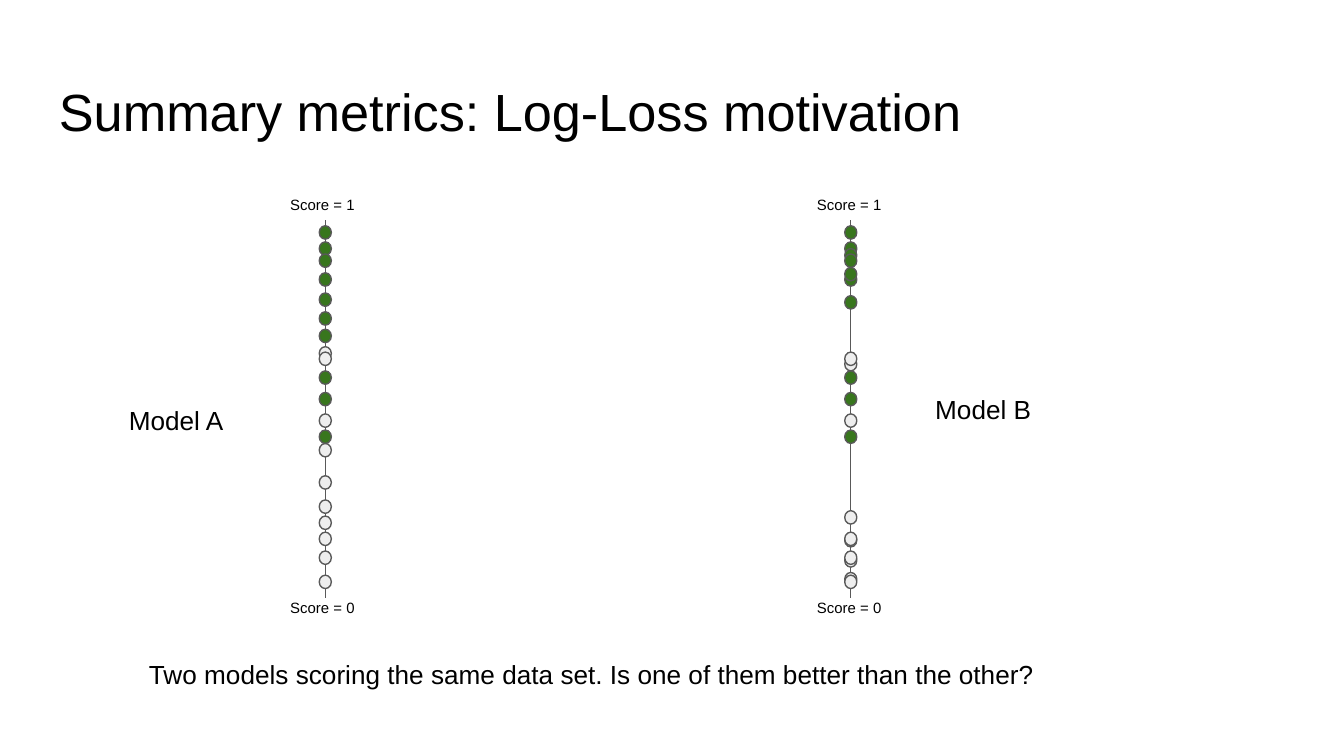
from dataclasses import dataclass

import pptx
import pptx.dml.color
import pptx.enum.shapes
import pptx.oxml.ns
import pptx.util
from pptx.util import Inches

BLACK, GRAY, POSITIVE, NEGATIVE = "000000", "595959", "38761D", "EEEEEE"
AXIS_TOP, AXIS_BOTTOM = 1.64, 4.45
DOT_W, DOT_H = 0.09, 0.1


@dataclass
class Model:
    """One model's score axis and the tops of its dots, back to front."""
    name: str
    name_left: float
    name_top: float
    axis_x: float
    score_left: float
    negatives: list[float]
    positives: list[float]


MODELS = [
    Model("Model A", 0.86, 2.91, 2.42, 2.06,
          [2.58, 2.62, 3.08, 3.3, 3.54, 3.72, 3.84, 3.96, 4.1, 4.28],
          [1.68, 1.8, 2.03, 2.18, 2.32, 2.76, 2.92, 3.2, 1.89, 2.45]),
    Model("Model B", 6.86, 2.83, 6.33, 5.98,
          [2.66, 2.62, 3.08, 3.8, 4.12, 3.97, 4.26, 3.96, 4.1, 4.28],
          [1.68, 1.8, 2.03, 1.85, 1.99, 2.76, 2.92, 3.2, 1.89, 2.2]),
]


def rgb(color: str) -> pptx.dml.color.RGBColor:
    """Turn a hex string into a colour."""
    return pptx.dml.color.RGBColor.from_string(color)


def add_text(s, text: str, left: float, top: float, width: float, height: float,
             *, size: float = 14, color: str = BLACK) -> None:
    """Add a wrapped Arial text box."""
    tf = s.shapes.add_textbox(Inches(left), Inches(top), Inches(width), Inches(height)).text_frame
    tf.word_wrap = True
    tf.margin_left = tf.margin_right = tf.margin_top = tf.margin_bottom = Inches(0.1)
    r = tf.paragraphs[0].add_run()
    r.text = text
    r.font.name = "Arial"
    r.font.size = pptx.util.Pt(size)
    r.font.color.rgb = rgb(color)


def set_line(sp) -> None:
    """Give a shape or connector the thin gray line."""
    sp.line.color.rgb = rgb(GRAY)
    sp.line.width = pptx.util.Pt(0.75)


def add_axis(s, x: float) -> None:
    """Add the vertical score axis."""
    line = s.shapes.add_connector(pptx.enum.shapes.MSO_CONNECTOR.STRAIGHT,
                                  Inches(x), Inches(AXIS_TOP), Inches(x), Inches(AXIS_BOTTOM))
    set_line(line)
    effects = pptx.oxml.ns.qn("a:effectLst")
    line._element.spPr.append(line._element.makeelement(effects, {}))


def add_dot(s, x: float, top: float, color: str) -> None:
    """Add one scored example centred on the axis."""
    sp = s.shapes.add_shape(pptx.enum.shapes.MSO_SHAPE.FLOWCHART_CONNECTOR,
                            Inches(x - DOT_W / 2), Inches(top), Inches(DOT_W), Inches(DOT_H))
    sp.shadow.inherit = False
    sp.fill.solid()
    sp.fill.fore_color.rgb = rgb(color)
    set_line(sp)


def add_model(s, model: Model) -> None:
    """Draw a model's axis, dots and labels."""
    add_axis(s, model.axis_x)
    for tops, color in ((model.negatives, NEGATIVE), (model.positives, POSITIVE)):
        for top in tops:
            add_dot(s, model.axis_x, top, color)
    for score, top in ((1, 1.39), (0, 4.39)):
        add_text(s, f"Score = {score}", model.score_left, top, 1.28, 0.13, size=8)
    add_text(s, model.name, model.name_left, model.name_top, 1.01, 0.44)


prs = pptx.Presentation()
prs.slide_width = Inches(10)
prs.slide_height = Inches(10 * 9 / 16)
s = prs.slides.add_slide(prs.slide_layouts[6])
add_text(s, "Summary metrics: Log-Loss motivation", 0.34, 0.49, 9.32, 0.63, size=28)
for model in MODELS:
    add_model(s, model)
add_text(s, "Two models scoring the same data set. Is one of them better than the other?",
         1.01, 4.8, 7.7, 0.44)
prs.save("out.pptx")
